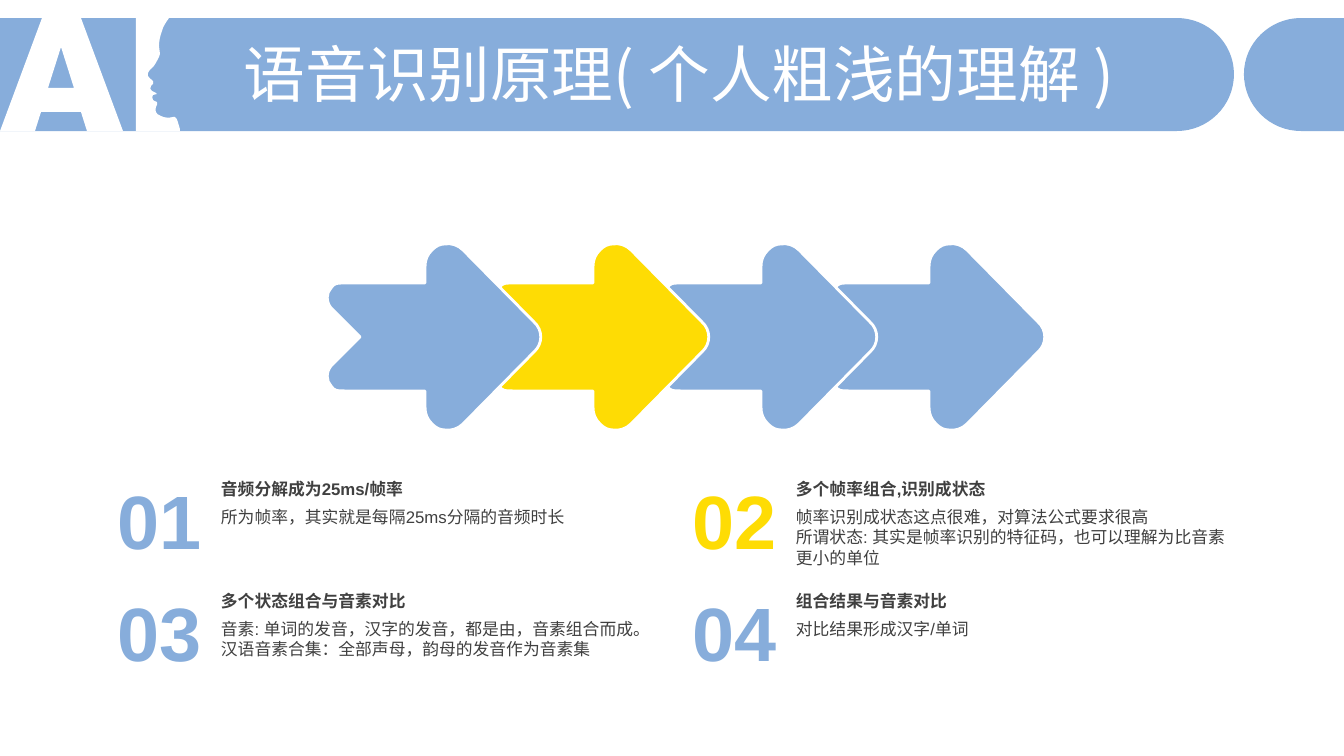
import math

import pptx
import pptx.dml.color
import pptx.enum.text
import pptx.oxml
import pptx.oxml.ns
import pptx.util

RGBColor = pptx.dml.color.RGBColor
PP_ALIGN = pptx.enum.text.PP_ALIGN
ANCHOR = pptx.enum.text.MSO_ANCHOR
AUTO_SIZE = pptx.enum.text.MSO_AUTO_SIZE

BLUE = RGBColor(0x87, 0xAD, 0xDB)
YELLOW = RGBColor(0xFE, 0xDC, 0x04)
WHITE = RGBColor(0xFF, 0xFF, 0xFF)
GREY = RGBColor(0x40, 0x40, 0x40)
LATIN, CJK = "Arial", "Noto Sans CJK SC"

SCALE = 914400 / 100.8  # EMU in one px

# Outlines in px: two numbers are a line end, six are a Bezier curve
BANNER = [(0, 18), (1177, 18), (1208, 18, 1234, 43, 1234, 74),
          (1234, 106, 1208, 131, 1177, 131), (0, 131)]
BANNER_END = [(1301, 18), (1344, 18), (1344, 131), (1301, 131),
              (1270, 131, 1244, 106, 1244, 74),
              (1244, 43, 1270, 18, 1301, 18)]
LETTER_A = [(42, 18), (81, 18), (123, 131), (87, 131), (81, 112),
            (41, 112), (35, 131), (0, 131)]
LETTER_A_HOLE = [(61, 47), (48, 88), (74, 88)]
LETTER_I_PROFILE = [
    (136, 18), (169, 18), (167, 21, 163, 26, 162, 31),
    (160, 36, 159, 42, 159, 46), (160, 54), (159, 57),
    (158, 59, 154, 67, 152, 68), (149, 70, 147, 74, 148, 76),
    (149, 78, 151, 79, 152, 80), (153, 80, 154, 82, 153, 84), (151, 86),
    (150, 88, 150, 90, 152, 91), (154, 92, 157, 93, 157, 94), (153, 95),
    (152, 96, 152, 98, 153, 100), (153, 101, 156, 101, 157, 102),
    (158, 104, 157, 104, 156, 107), (155, 110, 155, 114, 161, 116),
    (165, 118, 169, 118, 173, 117), (175, 117),
    (178, 119, 178, 124, 180, 129), (180, 131), (136, 131)]

# Arrow pointing right, relative to the centre of its square frame
ARROW = [
    (-56, 0), (-85, -29), (-90, -35, -90, -44, -85, -49),
    (-81, -54, -82, -54, -65, -54), (9, -54), (9, -70),
    (9, -77, 11, -82, 16, -87), (20, -91, 24, -93, 29, -93),
    (35, -94, 42, -92, 47, -87), (118, -15),
    (127, -7, 127, 7, 118, 15), (47, 87),
    (42, 92, 35, 94, 29, 93), (24, 93, 20, 91, 16, 87),
    (11, 82, 9, 77, 9, 70), (9, 54), (-65, 54),
    (-82, 54, -81, 54, -85, 49), (-90, 44, -90, 35, -85, 29)]
ARROW_LEFT, ARROW_TOP, ARROW_SIZE, ARROW_STEP = 321, 242, 190, 168
ARROW_TURN = 45

# Steps: number, colour, heading, body lines, body height
STEPS = [
    ("01", BLUE, "音频分解成为25ms/帧率", ["所为帧率，其实就是每隔25ms分隔的音频时长"], 30),
    ("02", YELLOW, "多个帧率组合,识别成状态",
     ["帧率识别成状态这点很难，对算法公式要求很高",
      "所谓状态: 其实是帧率识别的特征码，也可以理解为比音素更小的单位"], 71),
    ("03", BLUE, "多个状态组合与音素对比",
     ["音素: 单词的发音，汉字的发音，都是由，音素组合而成。",
      "汉语音素合集：全部声母，韵母的发音作为音素集"], 50),
    ("04", BLUE, "组合结果与音素对比", ["对比结果形成汉字/单词"], 30),
]
COLUMN_STEP, ROW_STEP = 575, 112


def px(n):
    return pptx.util.Emu(round(n * SCALE))


def path_xml(contours, frame):
    """Describe closed contours with true curves, relative to a frame."""
    left, top, width, height = frame
    parts = []
    for contour in contours:
        for i, step in enumerate(contour):
            tag = "cubicBezTo" if len(step) == 6 else "lnTo" if i else "moveTo"
            pts = "".join(f'<a:pt x="{px(x - left)}" y="{px(y - top)}"/>'
                          for x, y in zip(step[::2], step[1::2]))
            parts.append(f"<a:{tag}>{pts}</a:{tag}>")
        parts.append("<a:close/>")
    return (f'<a:path {pptx.oxml.ns.nsdecls("a")} w="{px(width)}" h="{px(height)}">'
            f'{"".join(parts)}</a:path>')


def add_outline(shapes, contours, frame, fill, line=None):
    left, top, width, height = frame
    right, bottom = left + width, top + height
    builder = shapes.build_freeform(px(left), px(top), scale=1.0)
    builder.add_line_segments([(px(right), px(top)), (px(right), px(bottom)),
                               (px(left), px(bottom))])
    sp = builder.convert_to_shape()
    # Curves need XML: fill the frame with the outline itself
    path_list = sp.element.find(".//" + pptx.oxml.ns.qn("a:pathLst"))
    path_list[:] = [pptx.oxml.parse_xml(path_xml(contours, frame))]
    sp.shadow.inherit = False
    sp.fill.solid()
    sp.fill.fore_color.rgb = fill
    if line is None:
        sp.line.fill.background()
    else:
        sp.line.color.rgb = line
        sp.line.width = pptx.util.Pt(2)
    return sp


def set_text(sp, lines, size, color, bold=False, font=LATIN, align=PP_ALIGN.LEFT,
             anchor=ANCHOR.TOP, insets=(0, 5, 10, 5), auto_size=AUTO_SIZE.SHAPE_TO_FIT_TEXT):
    tf = sp.text_frame
    tf.word_wrap = True
    tf.auto_size = auto_size
    tf.vertical_anchor = anchor
    tf.margin_left, tf.margin_top, tf.margin_right, tf.margin_bottom = map(px, insets)
    for i, line in enumerate(lines):
        p = tf.add_paragraph() if i else tf.paragraphs[0]
        p.alignment = align
        r = p.add_run()
        r.text = line
        r.font.size = pptx.util.Pt(size)
        r.font.bold = bold
        r.font.color.rgb = color
        r.font.name = font
        ea = pptx.oxml.parse_xml(
            f'<a:ea {pptx.oxml.ns.nsdecls("a")} typeface="{CJK}"/>')
        r.font._element.find(pptx.oxml.ns.qn("a:latin")).addnext(ea)


def add_text(shapes, box, lines, size, color, **style):
    sp = shapes.add_textbox(*map(px, box))
    set_text(sp, lines, size, color, **style)


def add_banner(shapes):
    add_outline(shapes, [BANNER], (0, 18, 1234, 113), BLUE)
    add_outline(shapes, [LETTER_A, LETTER_A_HOLE, LETTER_I_PROFILE],
                (0, 18, 183, 113), WHITE)
    add_outline(shapes, [BANNER_END], (1244, 18, 100, 113), BLUE)


def add_title(shapes, text):
    sp = shapes.title
    sp.left, sp.top, sp.width, sp.height = map(px, (234, 38, 1078, 80))
    set_text(sp, [text], 44, WHITE, font=CJK, anchor=ANCHOR.MIDDLE,
             insets=(10, 5, 10, 5), auto_size=AUTO_SIZE.NONE)
    p = sp.text_frame.paragraphs[0]
    p.line_spacing = 0.9
    p.space_before = pptx.util.Pt(10)
    # Bring the title in front of the banner
    sp.element.getparent().append(sp.element)


def add_arrow(shapes, index, color):
    left = ARROW_LEFT + index * ARROW_STEP
    cx, cy = left + ARROW_SIZE / 2, ARROW_TOP + ARROW_SIZE / 2
    cos, sin = math.cos(math.radians(ARROW_TURN)), math.sin(math.radians(ARROW_TURN))
    # Lay the arrow along the diagonal of its frame, then turn the frame
    outline = []
    for step in ARROW:
        turned = []
        for x, y in zip(step[::2], step[1::2]):
            turned += [cx + x * cos + y * sin, cy - x * sin + y * cos]
        outline.append(turned)
    sp = add_outline(shapes, [outline], (left, ARROW_TOP, ARROW_SIZE, ARROW_SIZE),
                     color, line=WHITE)
    sp.rotation = ARROW_TURN


def add_step(shapes, index, number, color, heading, body, body_height):
    row, column = divmod(index, 2)
    x, y = 107 + column * COLUMN_STEP, 474 + row * ROW_STEP
    add_text(shapes, (x + 114, y, 449, 30), [heading], 12, GREY,
             bold=True, anchor=ANCHOR.MIDDLE)
    add_text(shapes, (x + 114, y + 28, 449, body_height), body, 12, GREY)
    add_text(shapes, (x, y - 1, 95, 92), [number], 54, color, bold=True,
             align=PP_ALIGN.RIGHT, anchor=ANCHOR.MIDDLE, insets=(0, 0, 0, 0))


def main():
    prs = pptx.Presentation()
    prs.slide_width, prs.slide_height = px(1344), px(756)
    shapes = prs.slides.add_slide(prs.slide_layouts[5]).shapes

    # Header
    add_banner(shapes)
    add_title(shapes, "语音识别原理( 个人粗浅的理解 )")

    # Arrow chain, the leftmost in front
    for index in reversed(range(len(STEPS))):
        add_arrow(shapes, index, STEPS[index][1])

    # Explanations
    for index, step in enumerate(STEPS):
        add_step(shapes, index, *step)

    prs.save("out.pptx")


if __name__ == "__main__":
    main()
